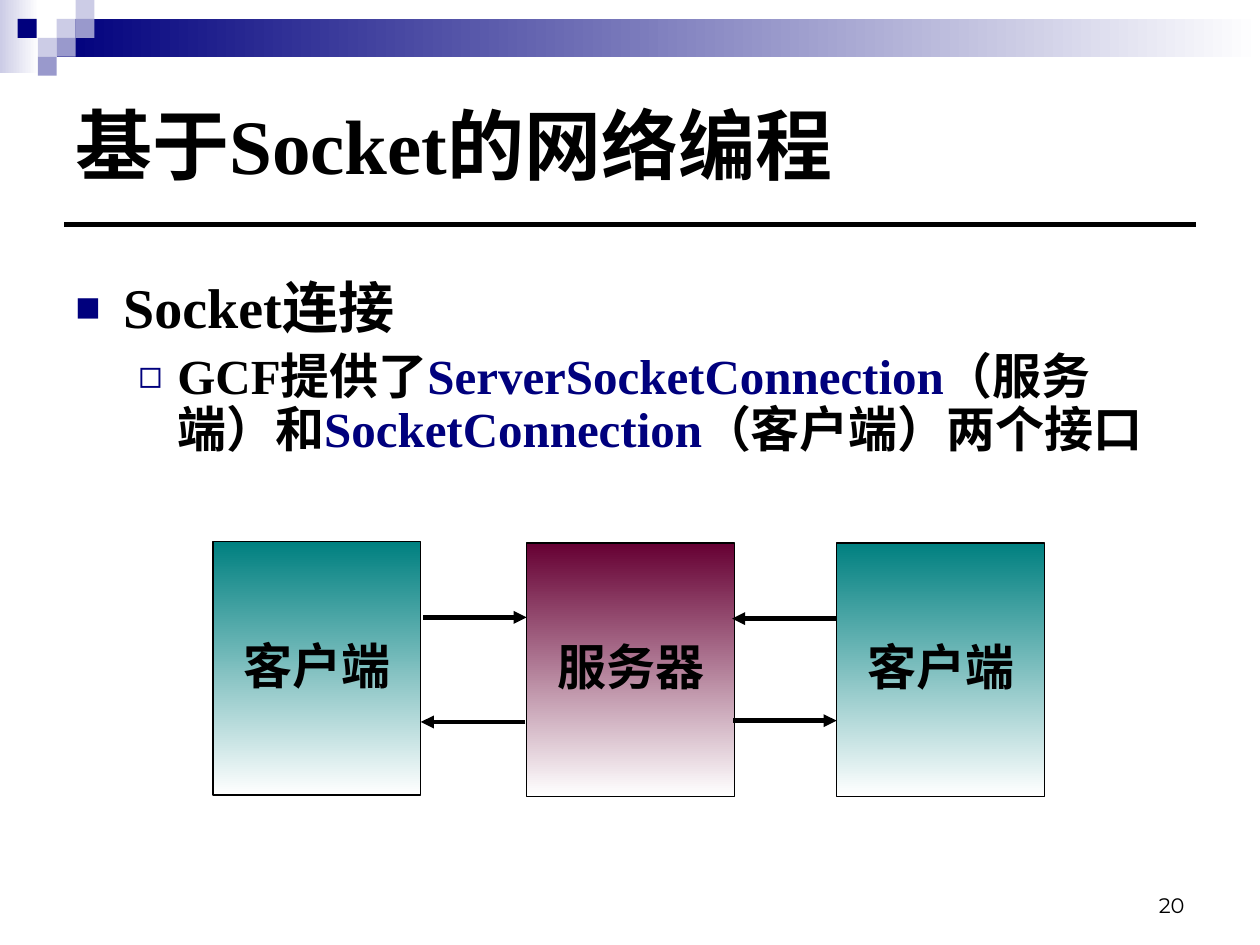
import pptx
import pptx.dml.color
import pptx.enum.shapes
import pptx.enum.text
import pptx.oxml.ns
import pptx.util
import lxml.etree

Inches = pptx.util.Inches
Pt = pptx.util.Pt
ANCHOR = pptx.enum.text.MSO_ANCHOR
ALIGN = pptx.enum.text.PP_ALIGN
COLORS = {
    "black": "000000",
    "white": "FFFFFF",
    "navy": "00007D",
    "lavender": "CCCCE6",
    "periwinkle": "9999CC",
    "teal": "008080",
    "maroon": "660033",
}


def rgb(name):
    return pptx.dml.color.RGBColor.from_string(COLORS[name])


def add_element(parent, tag, **attributes):
    return lxml.etree.SubElement(parent, pptx.oxml.ns.qn(tag), attributes)


def format_run(run, size, font, color="black", bold=True):
    run.font.size = Pt(size)
    run.font.name = font
    run.font.bold = bold
    run.font.color.rgb = rgb(color)


def add_rectangle(slide, left, top, width, height, color, fade_angle=None):
    shape = slide.shapes.add_shape(
        pptx.enum.shapes.MSO_SHAPE.RECTANGLE,
        Inches(left), Inches(top), Inches(width), Inches(height))
    shape.shadow.inherit = False
    shape.line.fill.background()
    if fade_angle is None:
        shape.fill.solid()
        shape.fill.fore_color.rgb = rgb(color)
    else:
        shape.fill.gradient()
        shape.fill.gradient_angle = fade_angle
        for stop, name in zip(shape.fill.gradient_stops, (color, "white")):
            stop.color.rgb = rgb(name)
    return shape


def add_line(slide, start, end, width, arrow=False):
    connector = slide.shapes.add_connector(
        pptx.enum.shapes.MSO_CONNECTOR.STRAIGHT,
        *[Inches(value) for value in start + end])
    connector.line.color.rgb = rgb("black")
    connector.line.width = Pt(width)
    if arrow:
        add_element(connector.line._get_or_add_ln(), "a:tailEnd", type="triangle")
    add_element(connector._element.spPr, "a:effectLst")


def add_text_box(slide, left, top, width, height, anchor):
    box = slide.shapes.add_textbox(
        Inches(left), Inches(top), Inches(width), Inches(height))
    box.text_frame.word_wrap = True
    box.text_frame.vertical_anchor = anchor
    return box.text_frame


def add_label(slide, text, place, anchor, alignment, size, font, bold):
    frame = add_text_box(slide, *place, anchor)
    frame.text = text
    paragraph = frame.paragraphs[0]
    paragraph.alignment = alignment
    format_run(paragraph.runs[0], size, font, bold=bold)


def format_bullet(paragraph, symbol, percent, margin, indent, space_before):
    paragraph.line_spacing = 0.9
    paragraph.space_before = Pt(space_before)
    properties = paragraph._p.get_or_add_pPr()
    properties.set("marL", str(Inches(margin)))
    properties.set("indent", str(Inches(indent)))
    bullet_color = add_element(properties, "a:buClr")
    add_element(bullet_color, "a:srgbClr", val=COLORS["navy"])
    add_element(properties, "a:buSzPct", val=str(percent * 1000))
    add_element(properties, "a:buFont", typeface="Arial")
    add_element(properties, "a:buChar", char=symbol)


def add_runs(paragraph, parts, size):
    for text, color in parts:
        run = paragraph.add_run()
        run.text = text
        format_run(run, size, "Times New Roman", color)


def add_header(slide):
    add_rectangle(slide, 0, 0, 0.31, 0.58, "lavender", 0)
    add_rectangle(slide, 0.45, 0.15, 9.55, 0.3, "navy", 0)
    side = 0.15
    squares = [
        (3, 1, "lavender"), (4, 0, "lavender"), (4, 1, "periwinkle"),
        (2, 2, "lavender"), (3, 2, "periwinkle"), (2, 3, "periwinkle"),
    ]
    for column, row, color in squares:
        add_rectangle(slide, column * side, row * side, side, side, color)
    add_rectangle(slide, 0.14, side, side, side, "navy")
    add_line(slide, (0.51, 1.78), (9.49, 1.78), 3)


def add_body(slide):
    frame = add_text_box(slide, 0.5, 2.17, 9, 4.25, ANCHOR.TOP)
    heading = frame.paragraphs[0]
    format_bullet(heading, "■", 75, 0.38, -0.38, 8)
    add_runs(heading, [("Socket连接", "black")], 32)
    detail = frame.add_paragraph()
    detail.level = 1
    format_bullet(detail, "◻", 80, 0.81, -0.31, 7)
    add_runs(detail, [
        ("GCF提供了", "black"),
        ("ServerSocketConnection", "navy"),
        ("（服务端）和", "black"),
        ("SocketConnection", "navy"),
        ("（客户端）两个接口", "black"),
    ], 28)


def add_node(slide, text, left, top, color):
    shape = add_rectangle(slide, left, top, 1.65, 2.01, color, 270)
    shape.line.color.rgb = rgb("black")
    shape.line.width = Pt(0.74)
    frame = shape.text_frame
    frame.word_wrap = False
    frame.vertical_anchor = ANCHOR.MIDDLE
    frame.text = text
    paragraph = frame.paragraphs[0]
    paragraph.alignment = ALIGN.CENTER
    paragraph.line_spacing = 0.9
    paragraph.space_before = Pt(7)
    format_run(paragraph.runs[0], 28, "Arial")


def add_diagram(slide):
    add_node(slide, "服务器", 4.18, 4.31, "maroon")
    add_node(slide, "客户端", 6.64, 4.31, "teal")
    add_node(slide, "客户端", 1.69, 4.3, "teal")
    arrows = [(3.36, 4.18, 4.9), (5.82, 6.64, 5.72),
              (6.64, 5.81, 4.91), (4.17, 3.34, 5.73)]
    for start, end, height in arrows:
        add_line(slide, (start, height), (end, height), 2.49, arrow=True)


def main():
    presentation = pptx.Presentation()
    presentation.slide_width = Inches(10)
    presentation.slide_height = Inches(7.5)
    slide = presentation.slides.add_slide(presentation.slide_layouts[6])
    add_header(slide)
    add_label(slide, "20", (7.17, 6.83, 2.33, 0.5), ANCHOR.BOTTOM,
              ALIGN.RIGHT, 12, "Montserrat", False)
    add_label(slide, "基于Socket的网络编程", (0.5, 0.5, 9, 1.28), ANCHOR.MIDDLE,
              ALIGN.LEFT, 44, "Times New Roman", True)
    add_body(slide)
    add_diagram(slide)
    presentation.save("out.pptx")


main()
